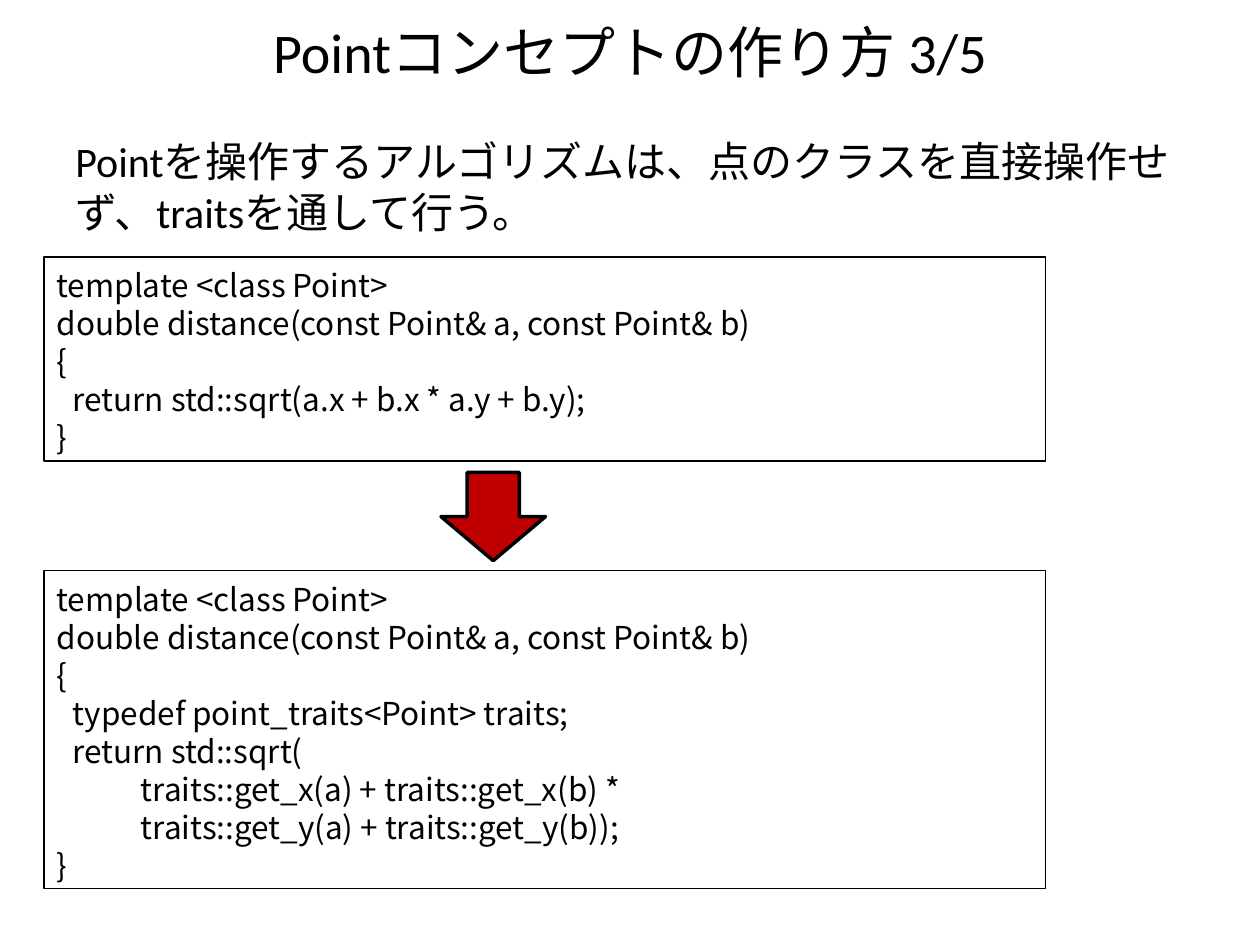
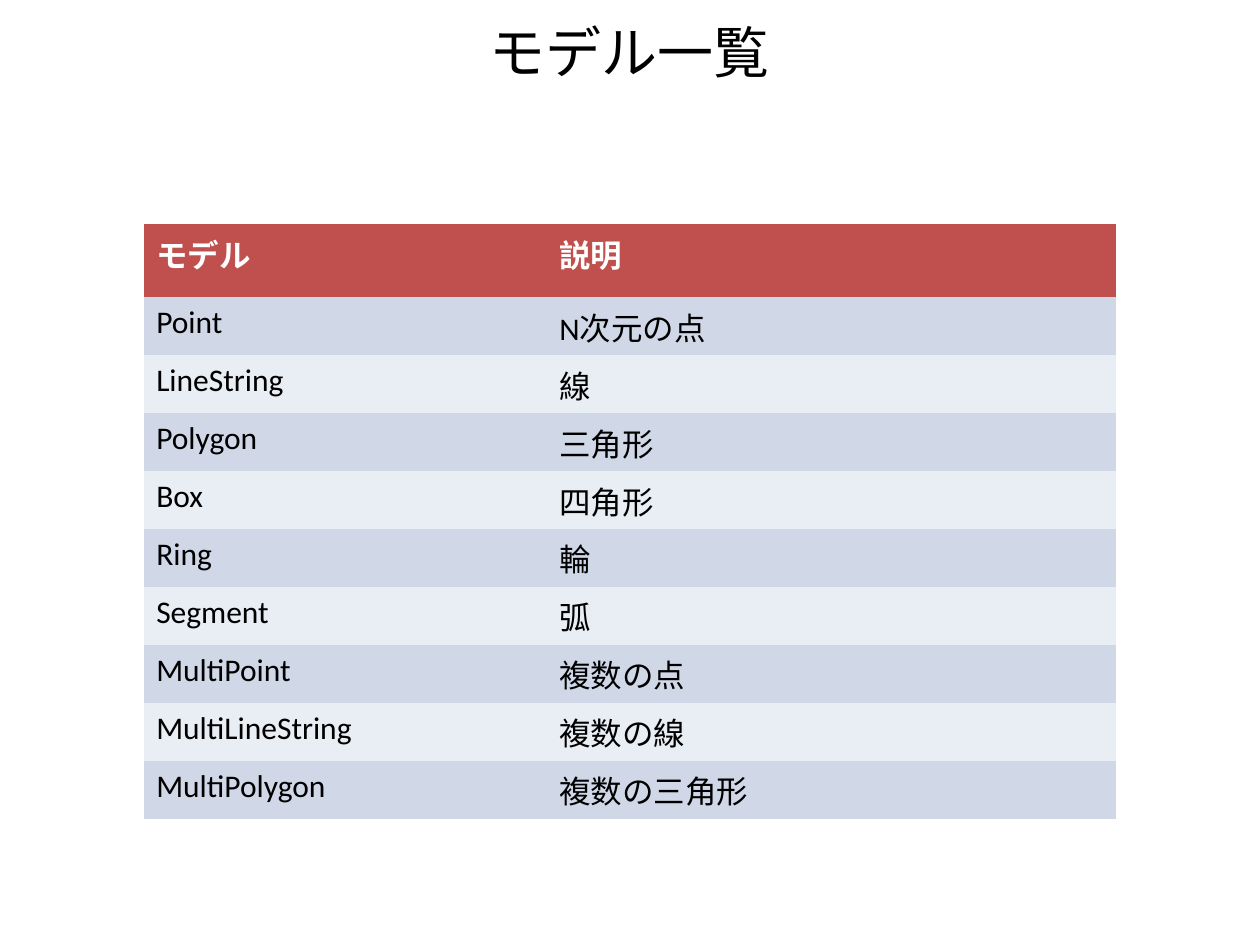
from dataclasses import dataclass

from lxml.etree import SubElement
from pptx import Presentation
from pptx.dml.color import RGBColor as Rgb
from pptx.enum.shapes import MSO_SHAPE as Preset
from pptx.enum.text import MSO_ANCHOR as Anchor, PP_ALIGN as Align
from pptx.oxml.ns import qn
from pptx.slide import Slide
from pptx.util import Pt

EMU_PER_PX = 9144


def px(length: int) -> int:
    return length * EMU_PER_PX


@dataclass(frozen=True)
class TextStyle:
    size: int
    font: str = "Calibri"
    color: str = "000000"
    bold: bool = False
    align: Align = Align.LEFT
    line_pitch: float | None = None


@dataclass(frozen=True)
class Theme:
    asian_font: str = "Noto Sans CJK JP"
    outline: str = "000000"
    arrow: str = "C00000"
    header_fill: str = "C0504D"
    bands: tuple[str, str] = ("D0D8E8", "E9EDF4")
    title: TextStyle = TextStyle(32, align=Align.CENTER)
    lead: TextStyle = TextStyle(24, line_pitch=29.2)
    code: TextStyle = TextStyle(18, font="Noto Sans CJK JP", line_pitch=21.7)
    header: TextStyle = TextStyle(18, color="FFFFFF", bold=True)
    cell: TextStyle = TextStyle(18)


@dataclass(frozen=True)
class Box:
    left: int
    top: int
    width: int
    height: int

    def emu(self) -> tuple[int, ...]:
        return tuple(map(px, (self.left, self.top, self.width, self.height)))


@dataclass(frozen=True)
class Line:
    text: str
    indent: int = 0


@dataclass(frozen=True)
class CodeListing:
    box: Box
    body: tuple[Line, ...]


THEME = Theme()
TITLE_BOX = Box(50, 5, 900, 71)
LEAD_BOX = Box(50, 99, 900, 94)
ARROW_BOX = Box(350, 375, 83, 70)
STATEMENT, ARGUMENT = 13, 67

SIGNATURE = (
    Line("template <class Point>"),
    Line("double distance(const Point& a, const Point& b)"),
    Line("{"),
)
LISTINGS = (
    CodeListing(Box(35, 204, 795, 162), (
        Line("return std::sqrt(a.x + b.x * a.y + b.y);", STATEMENT),
    )),
    CodeListing(Box(35, 453, 795, 252), (
        Line("typedef point_traits<Point> traits;", STATEMENT),
        Line("return std::sqrt(", STATEMENT),
        Line("traits::get_x(a) + traits::get_x(b) *", ARGUMENT),
        Line("traits::get_y(a) + traits::get_y(b));", ARGUMENT),
    )),
)

MODELS = (
    ("モデル", "説明"),
    ("Point", "N次元の点"),
    ("LineString", "線"),
    ("Polygon", "三角形"),
    ("Box", "四角形"),
    ("Ring", "輪"),
    ("Segment", "弧"),
    ("MultiPoint", "複数の点"),
    ("MultiLineString", "複数の線"),
    ("MultiPolygon", "複数の三角形"),
)
MODEL_COLUMNS = (320, 452)
HEADER_HEIGHT, ROW_HEIGHT = 58, 46


def style_paragraph(paragraph, style: TextStyle, indent: int = 0) -> None:
    paragraph.alignment = style.align
    if style.line_pitch:
        paragraph.line_spacing = Pt(style.line_pitch)
    font = paragraph.font
    font.size = Pt(style.size)
    font.name = style.font
    font.bold = style.bold
    font.color.rgb = Rgb.from_string(style.color)
    properties = paragraph._p.get_or_add_pPr()
    properties.set("marL", str(px(indent)))
    SubElement(properties.find(qn("a:defRPr")), qn("a:ea"), typeface=THEME.asian_font)


def add_text(slide: Slide, box: Box, lines: tuple[Line, ...], style: TextStyle,
             anchor: Anchor = Anchor.TOP, top_inset: int = 5):
    panel = slide.shapes.add_textbox(*box.emu())
    frame = panel.text_frame
    frame.word_wrap = True
    frame.vertical_anchor = anchor
    frame.margin_top = px(top_inset)
    frame.text = "\n".join(line.text for line in lines)
    for paragraph, line in zip(frame.paragraphs, lines):
        style_paragraph(paragraph, style, line.indent)
    return panel


def add_title(slide: Slide, title: str) -> None:
    add_text(slide, TITLE_BOX, (Line(title),), THEME.title, Anchor.MIDDLE)


def add_listing(slide: Slide, listing: CodeListing) -> None:
    lines = (*SIGNATURE, *listing.body, Line("}"))
    panel = add_text(slide, listing.box, lines, THEME.code, top_inset=7)
    panel.line.color.rgb = Rgb.from_string(THEME.outline)
    panel.line.width = Pt(0.75)


def add_down_arrow(slide: Slide, box: Box) -> None:
    arrow = slide.shapes.add_shape(Preset.DOWN_ARROW, *box.emu())
    arrow.shadow.inherit = False
    arrow.fill.solid()
    arrow.fill.fore_color.rgb = Rgb.from_string(THEME.arrow)
    arrow.line.color.rgb = Rgb.from_string(THEME.outline)
    arrow.line.width = Pt(2)


def add_model_table(slide: Slide, left: int, top: int) -> None:
    heights = [HEADER_HEIGHT] + [ROW_HEIGHT] * (len(MODELS) - 1)
    box = Box(left, top, sum(MODEL_COLUMNS), sum(heights))
    table = slide.shapes.add_table(len(MODELS), len(MODEL_COLUMNS), *box.emu()).table
    for column, width in zip(table.columns, MODEL_COLUMNS):
        column.width = px(width)
    for index, (row, height, texts) in enumerate(zip(table.rows, heights, MODELS)):
        row.height = px(height)
        fill = THEME.bands[(index - 1) % 2] if index else THEME.header_fill
        style = THEME.cell if index else THEME.header
        for cell, text in zip(row.cells, texts):
            cell.text = text
            cell.fill.solid()
            cell.fill.fore_color.rgb = Rgb.from_string(fill)
            style_paragraph(cell.text_frame.paragraphs[0], style)
    borders = table._tbl.tblPr.find(qn("a:tableStyleId"))
    borders.text = "{2D5ABB26-0587-4C30-8999-92F81FD0307C}"


def build_point_concept(slide: Slide) -> None:
    add_title(slide, "Pointコンセプトの作り方 3/5")
    lead = Line("Pointを操作するアルゴリズムは、点のクラスを直接操作せず、traitsを通して行う。")
    add_text(slide, LEAD_BOX, (lead,), THEME.lead, top_inset=8)
    for listing in LISTINGS:
        add_listing(slide, listing)
    add_down_arrow(slide, ARROW_BOX)


def build_model_overview(slide: Slide) -> None:
    add_title(slide, "モデル一覧")
    add_model_table(slide, 114, 178)


def main() -> None:
    deck = Presentation()
    deck.slide_width, deck.slide_height = px(1000), px(750)
    blank = deck.slide_layouts[6]
    for build in (build_point_concept, build_model_overview):
        build(deck.slides.add_slide(blank))
    deck.save("out.pptx")


if __name__ == "__main__":
    main()
